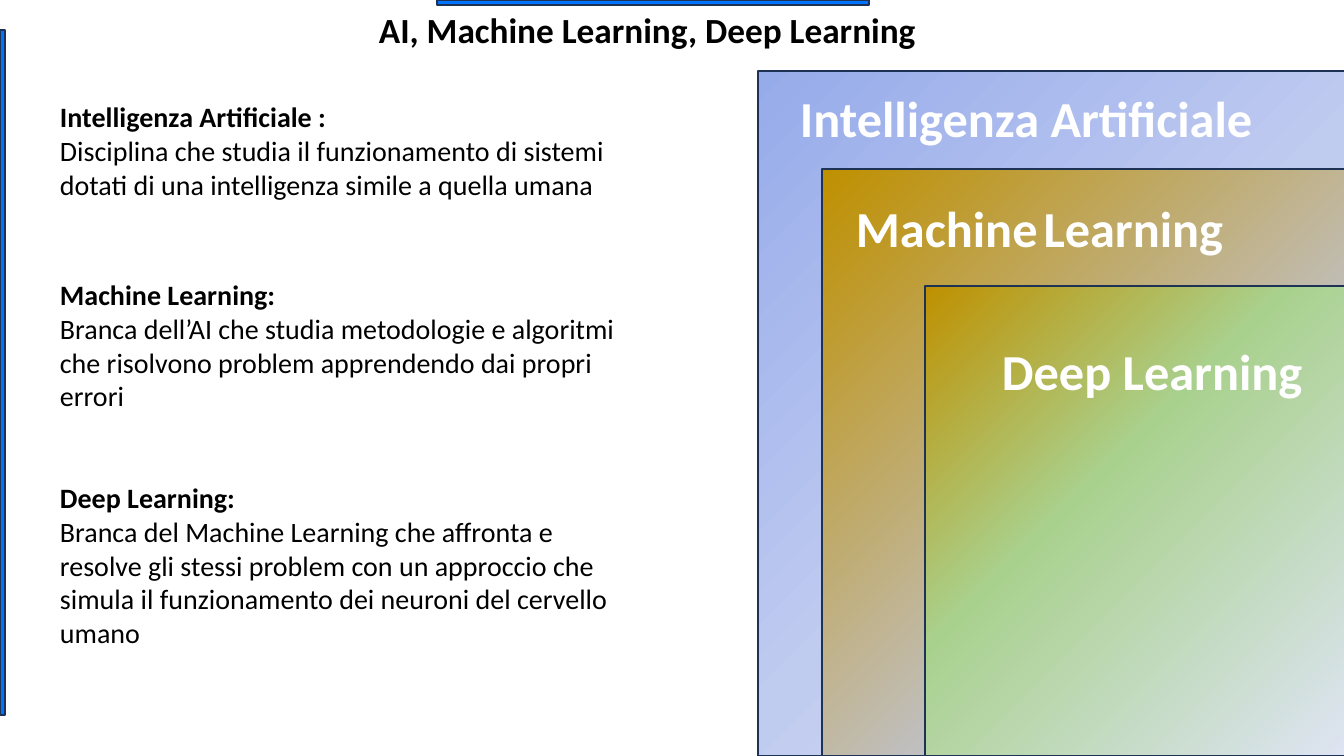
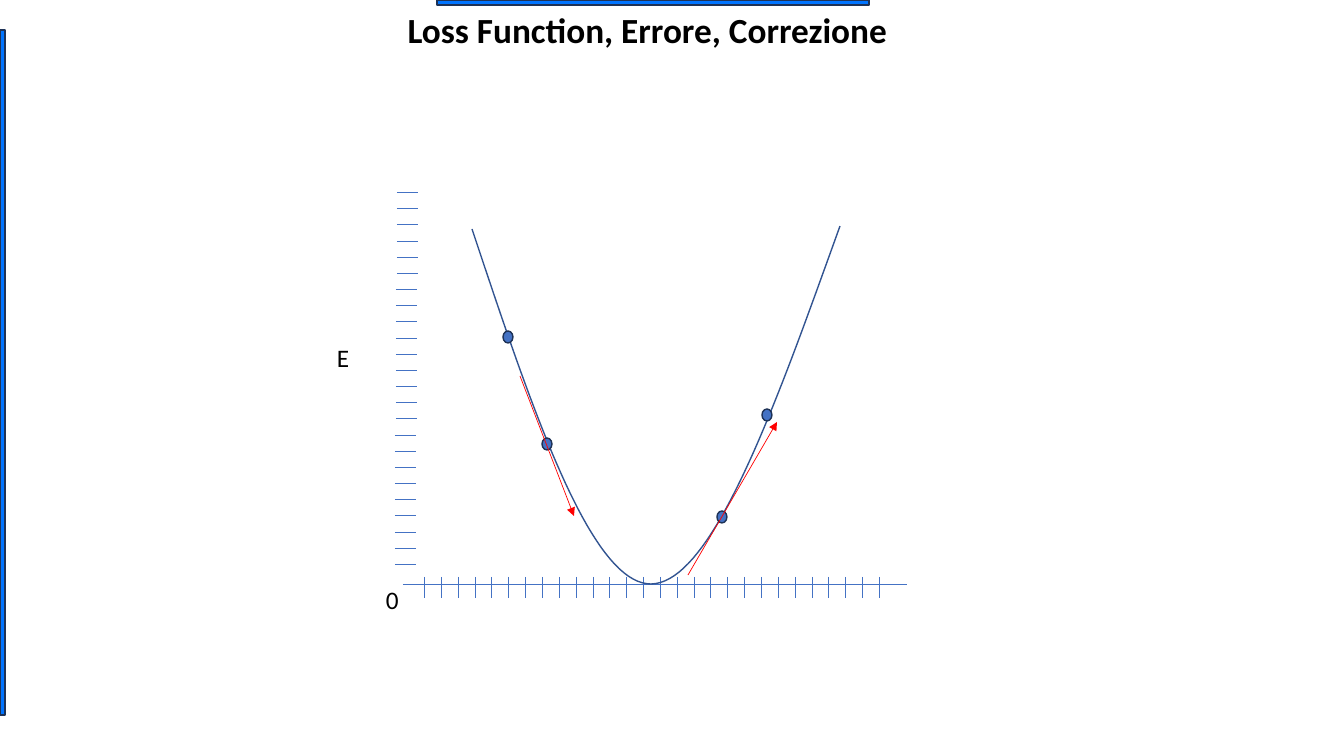
from copy import deepcopy

from lxml import etree
from pptx import Presentation
from pptx.dml.color import RGBColor
from pptx.enum.shapes import MSO_CONNECTOR, MSO_SHAPE
from pptx.enum.text import MSO_ANCHOR, PP_ALIGN
from pptx.oxml.ns import qn
from pptx.util import Pt

PX = 914400 / 100.8
WIDE, HIGH = 1344, 756
RECT, OVAL = MSO_SHAPE.RECTANGLE, MSO_SHAPE.OVAL
LINE = MSO_CONNECTOR.STRAIGHT
CENTER, LEFT = PP_ALIGN.CENTER, PP_ALIGN.LEFT
TOP, BOTTOM = MSO_ANCHOR.TOP, MSO_ANCHOR.BOTTOM

COLORS = {
    "black": "000000", "white": "FFFFFF", "band": "0074FF", "edge": "1E3256",
    "axis": "4472C4", "curve": "325491", "arrow": "FF0000",
    "blue": "96ABEA", "mid": "C0CBF0", "pale": "E0E5F7",
    "gold": "BF9000", "green": "A9D18E",
}
STYLES = {
    "title": ("black", {"size": Pt(25.2), "bold": True}),
    "label": ("white", {"size": Pt(36), "bold": True}),
    "head": ("black", {"size": Pt(20), "bold": True}),
    "body": ("black", {"size": Pt(20), "bold": False}),
    "mark": ("black", {"size": Pt(18), "bold": False}),
}


def emu(*sizes):
    return [round(size * PX) for size in sizes]


def color(name):
    return RGBColor.from_string(COLORS[name])


class Deck:
    def __init__(self):
        self.file = Presentation()
        self.file.slide_width, self.file.slide_height = emu(WIDE, HIGH)
        self.slide = None

    def page(self, title):
        self.slide = self.file.slides.add_slide(self.file.slide_layouts[6])
        frame = self.text((233, 5, 829, 51), [[("title", title)]], CENTER, BOTTOM)
        frame.paragraphs[0].line_spacing = 0.9
        self.shape(RECT, (437, 0, 432, 5), "band")
        self.shape(RECT, (0, 30, 5, 685), "band")

    def text(self, box, lines, align=LEFT, anchor=TOP):
        frame = self.slide.shapes.add_textbox(*emu(*box)).text_frame
        frame.word_wrap = True
        frame.vertical_anchor = anchor
        for i, parts in enumerate(lines):
            para = frame.add_paragraph() if i else frame.paragraphs[0]
            para.alignment = align
            for style, words in parts:
                self.run(para, style, words)
        return frame

    def run(self, para, style, words):
        run = para.add_run()
        run.text = words
        tint, form = STYLES[style]
        for key, value in {"name": "Calibri", **form}.items():
            setattr(run.font, key, value)
        run.font.color.rgb = color(tint)

    def stroke(self, item, tint, width):
        item.line.color.rgb = color(tint)
        item.line.width = Pt(width)

    def shape(self, kind, box, tint=None):
        item = self.slide.shapes.add_shape(kind, *emu(*box))
        item.shadow.inherit = False
        if tint:
            item.fill.solid()
            item.fill.fore_color.rgb = color(tint)
        self.stroke(item, "edge", 1)
        return item

    def panel(self, box, stops):
        item = self.shape(RECT, box)
        item.fill.gradient()
        item.fill.gradient_angle = 315
        group = item._element.spPr.find(qn("a:gradFill")).find(qn("a:gsLst"))
        group.insert(1, deepcopy(group[0]))
        for stop, (place, tint) in zip(item.fill.gradient_stops, stops):
            stop.position = place
            stop.color.rgb = color(tint)

    def line(self, ends, tint, arrow=False):
        item = self.slide.shapes.add_connector(LINE, *emu(*ends))
        self.stroke(item, tint, 0.5)
        if arrow:
            etree.SubElement(item.line._get_or_add_ln(), qn("a:tailEnd"), type="triangle")
        etree.SubElement(item._element.spPr, qn("a:effectLst"))

    def curve(self, knots, tint, steps=40):
        points = []
        for k in range(0, len(knots) - 1, 3):
            for n in range(steps + 1):
                t = n / steps
                u = 1 - t
                parts = (u ** 3, 3 * u * u * t, 3 * u * t * t, t ** 3)
                points.append(emu(*(
                    sum(w * p[axis] for w, p in zip(parts, knots[k:k + 4]))
                    for axis in (0, 1))))
        form = self.slide.shapes.build_freeform(*points[0])
        form.add_line_segments(points[1:], close=False)
        item = form.convert_to_shape()
        item.shadow.inherit = False
        item.fill.background()
        self.stroke(item, tint, 1)


def fields(deck):
    deck.page("AI, Machine Learning, Deep Learning")
    right = 1366
    panels = [
        (758, 71, ("blue", 0.5, "mid"), (790, 82, 496, 72),
         [("label", "Intelligenza Artificiale")]),
        (822, 169, ("gold", 0.75, "mid"), (846, 192, 441, 72),
         [("label", "Machine"), ("mark", " "), ("label", "Learning")]),
        (925, 286, ("gold", 0.4, "green"), (992, 335, 334, 72),
         [("label", "Deep Learning")]),
    ]
    for x, y, (first, place, mid), box, parts in panels:
        deck.panel((x, y, right - x, HIGH - y),
                   [(0, first), (place, mid), (1, "pale")])
        deck.text(box, [parts])
    notes = [
        (95, 112, "Intelligenza Artificiale :",
         "Disciplina che studia il funzionamento di sistemi dotati di una "
         "intelligenza simile a quella umana"),
        (273, 146, "Machine Learning:",
         "Branca dell’AI che studia metodologie e algoritmi che risolvono "
         "problem apprendendo dai propri errori"),
        (476, 179, "Deep Learning:",
         "Branca del Machine Learning che affronta e resolve gli stessi problem "
         "con un approccio che simula il funzionamento dei neuroni del cervello umano"),
    ]
    for y, high, head, body in notes:
        deck.text((50, y, 588, high), [[("head", head)], [("body", body)]])


def loss(deck):
    deck.page("Loss Function, Errore, Correzione")
    deck.line((403, 584, 907, 584), "axis")
    for i in range(28):
        x = 424 + round(i * 455 / 27)
        deck.line((x, 577, x, 598), "axis")
    for i in range(24):
        x, y = 395 + i // 9, 564 - round(i * 372 / 23)
        deck.line((x, y, x + 21, y), "axis")
    deck.text((327, 337, 35, 40), [[("mark", "E")]])
    deck.curve([(472, 229), (531, 406), (590, 584), (651, 584),
                (713, 583), (776, 404), (840, 226)], "curve")
    deck.text((376, 579, 35, 40), [[("mark", "0")]])
    for x, y in ((503, 331), (542, 438), (717, 511), (762, 409)):
        deck.shape(OVAL, (x, y, 10, 12), "axis")
    for ends in ((520, 376, 574, 516), (688, 575, 777, 422)):
        deck.line(ends, "arrow", True)


def main():
    deck = Deck()
    fields(deck)
    loss(deck)
    deck.file.save("out.pptx")


if __name__ == "__main__":
    main()
